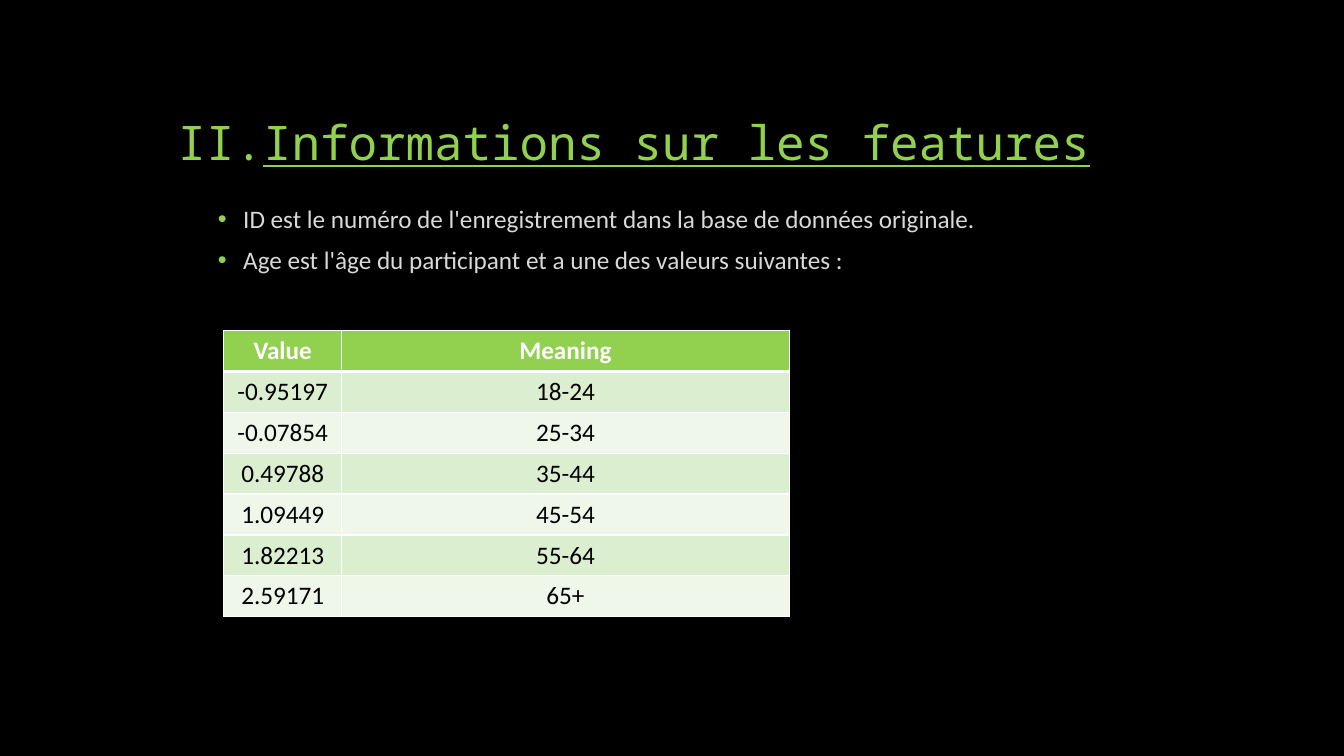
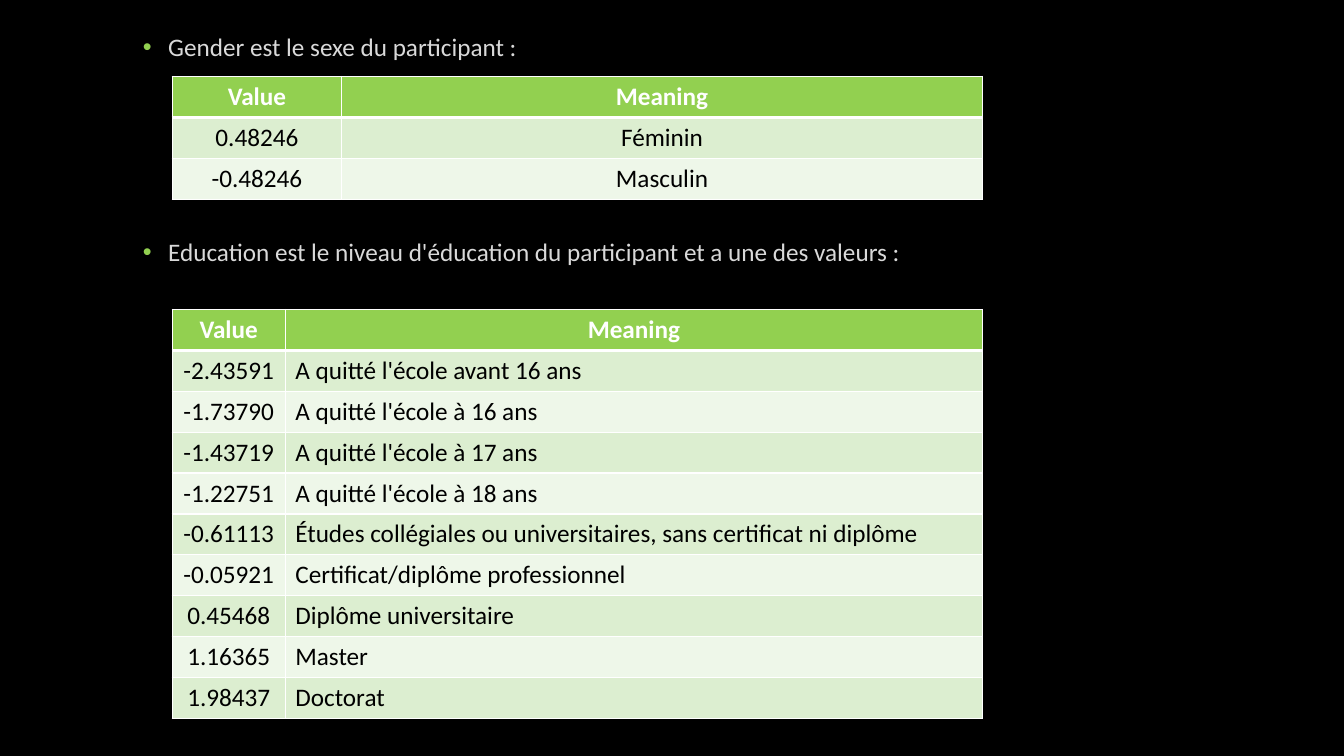
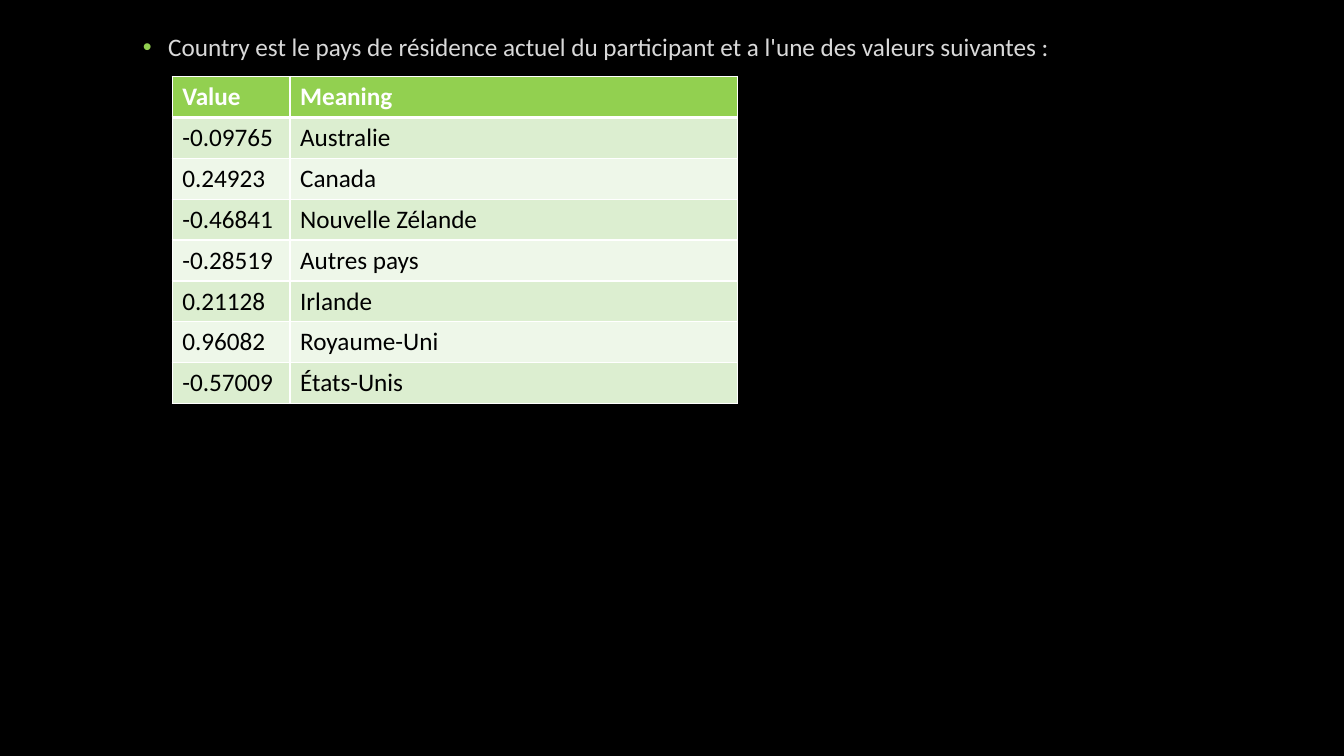
from lxml import etree
from pptx import Presentation
from pptx.dml.color import RGBColor
from pptx.enum import text
from pptx.oxml import ns
from pptx.util import Cm, Pt

HUES = {"back": "000000", "main": "92D050", "note": "D9D9D9", "head": "FFFFFF",
        "cell": "000000", "edge": "FFFFFF", "odd": "DCEED0", "even": "EEF7E9"}
FONT, MONO, SIZE = "Calibri", "Noto Sans Mono", 18
ROW = 1.03
HEAD = ("Value", "Meaning")
MID, LEFT = text.PP_ALIGN.CENTER, text.PP_ALIGN.LEFT

# Content: lengths in cm
AGES = [("-0.95197", "18-24"), ("-0.07854", "25-34"), ("0.49788", "35-44"),
        ("1.09449", "45-54"), ("1.82213", "55-64"), ("2.59171", "65+")]
SEXES = [("0.48246", "Féminin"), ("-0.48246", "Masculin")]
STUDIES = [
    ("-2.43591", "A quitté l'école avant 16 ans"),
    ("-1.73790", "A quitté l'école à 16 ans"),
    ("-1.43719", "A quitté l'école à 17 ans"),
    ("-1.22751", "A quitté l'école à 18 ans"),
    ("-0.61113", "Études collégiales ou universitaires, sans certificat ni diplôme"),
    ("-0.05921", "Certificat/diplôme professionnel"),
    ("0.45468", "Diplôme universitaire"),
    ("1.16365", "Master"),
    ("1.98437", "Doctorat"),
]
LANDS = [("-0.09765", "Australie"), ("0.24923", "Canada"),
         ("-0.46841", "Nouvelle Zélande"), ("-0.28519", "Autres pays"),
         ("0.21128", "Irlande"), ("0.96082", "Royaume-Uni"),
         ("-0.57009", "États-Unis")]

SLIDES = [
    {"title": "Informations sur les features",
     "notes": [(4.23, 5.08, 25.4, [
         "ID est le numéro de l'enregistrement dans la base de données originale.",
         "Age est l'âge du participant et a une des valeurs suivantes :"])],
     "grids": [(5.64, 8.33, (2.97, 11.28), AGES, (MID, MID), MID)]},
    {"notes": [
        (2.34, 0.74, 29.6, ["Gender est le sexe du participant :"]),
        (2.34, 5.92, 29.6, ["Education est le niveau d'éducation du participant "
                            "et a une des valeurs :"])],
     "grids": [(4.34, 1.93, (4.27, 16.15), SEXES, (MID, MID), MID),
               (4.34, 7.8, (2.85, 17.57), STUDIES, (MID, LEFT), MID)]},
    {"notes": [(2.34, 0.74, 29.6, [
        "Country est le pays de résidence actuel du participant "
        "et a l'une des valeurs suivantes :"])],
     "grids": [(4.34, 1.93, (2.97, 11.28), LANDS, (LEFT, LEFT), LEFT)]},
]


def hue(name):
    return RGBColor.from_string(HUES[name])


def add(node, tag, **keys):
    kid = etree.SubElement(node, ns.qn(tag))
    for key, val in keys.items():
        kid.set(key, str(val))
    return kid


def style(para, face, size, name, bold=False):
    font = para.font
    font.name, font.size, font.bold = face, Pt(size), bold
    font.color.rgb = hue(name)


def bullet(para, left, hang, face, tag, **keys):
    """Give a paragraph a hanging bullet or number in the main colour."""
    para.line_spacing = 0.9
    props = para._p.get_or_add_pPr()
    props.set("marL", str(Cm(left)))
    props.set("indent", str(-Cm(hang)))
    add(add(props, "a:buClr"), "a:srgbClr", val=HUES["main"])
    add(props, "a:buFont", typeface=face)
    add(props, tag, **keys)


def box(slide, left, top, wide, high):
    frame = slide.shapes.add_textbox(Cm(left), Cm(top), Cm(wide), Cm(high)).text_frame
    frame.word_wrap = True
    return frame


def title(slide, words):
    frame = box(slide, 4.23, 1.24, 25.4, 3.18)
    frame.vertical_anchor = text.MSO_ANCHOR.BOTTOM
    para = frame.paragraphs[0]
    para.text = words
    bullet(para, 1.57, 1.57, MONO, "a:buAutoNum", type="romanUcPeriod", startAt=2)
    style(para, MONO, 34, "main")
    para.font.underline = True


def notes(slide, left, top, wide, lines):
    frame = box(slide, left, top, wide, ROW * len(lines))
    for i, line in enumerate(lines):
        para = frame.add_paragraph() if i else frame.paragraphs[0]
        para.text = line
        if i:
            para.space_before = Pt(10)
        bullet(para, 1.65, 0.64, "Arial", "a:buChar", char="•")
        style(para, FONT, SIZE, "note")


def edges(cell, row):
    """White lines, thick between the header and the body."""
    props = cell._tc.get_or_add_tcPr()
    thick = {("a:lnB", 0), ("a:lnT", 1)}
    for i, tag in enumerate(("a:lnL", "a:lnR", "a:lnT", "a:lnB")):
        line = etree.Element(ns.qn(tag))
        line.set("w", str(Pt(3 if (tag, row) in thick else 1)))
        add(add(line, "a:solidFill"), "a:srgbClr", val=HUES["edge"])
        props.insert(i, line)


def grid(slide, left, top, cols, rows, aligns, lead):
    rows = [HEAD] + rows
    table = slide.shapes.add_table(len(rows), len(cols), Cm(left), Cm(top),
                                   Cm(sum(cols)), Cm(ROW * len(rows))).table
    for col, wide in zip(table.columns, cols):
        col.width = Cm(wide)
    for r, row in enumerate(rows):
        table.rows[r].height = Cm(ROW)
        fill = "main" if r == 0 else "odd" if r % 2 else "even"
        for c, words in enumerate(row):
            cell = table.cell(r, c)
            cell.fill.solid()
            cell.fill.fore_color.rgb = hue(fill)
            edges(cell, r)
            para = cell.text_frame.paragraphs[0]
            para.text = words
            para.alignment = aligns[c] if r else lead
            style(para, FONT, SIZE, "cell" if r else "head", r == 0)


def main():
    deck = Presentation()
    deck.slide_width, deck.slide_height = Cm(33.87), Cm(19.05)
    # Shared black background
    back = deck.slide_master.background.fill
    back.solid()
    back.fore_color.rgb = hue("back")
    for page in SLIDES:
        slide = deck.slides.add_slide(deck.slide_layouts[6])
        if "title" in page:
            title(slide, page["title"])
        for note in page["notes"]:
            notes(slide, *note)
        for part in page["grids"]:
            grid(slide, *part)
    deck.save("out.pptx")


if __name__ == "__main__":
    main()
